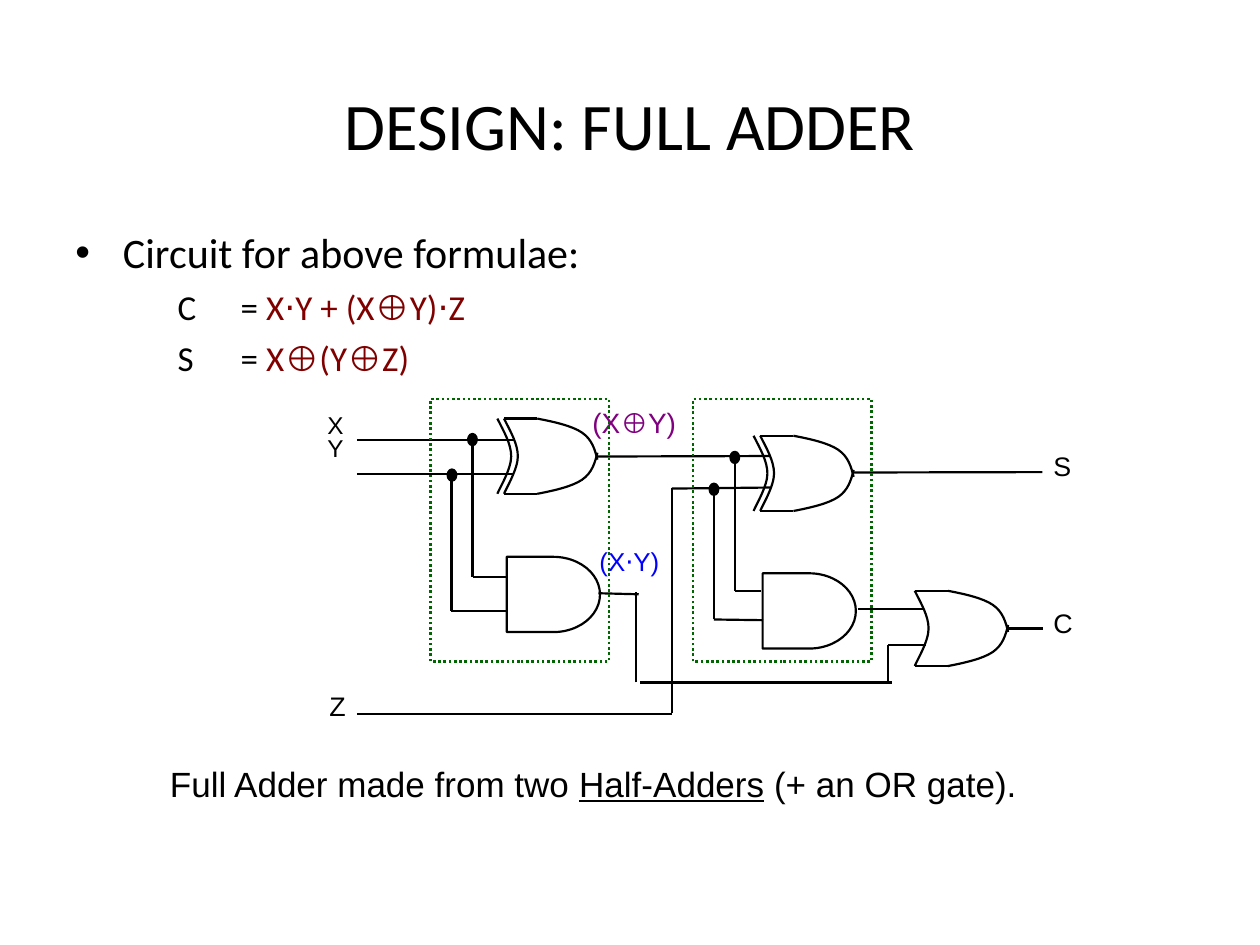
from typing import NamedTuple

from lxml.etree import SubElement
from pptx import Presentation
from pptx.dml.color import RGBColor
from pptx.enum.dml import MSO_LINE
from pptx.enum.shapes import MSO_CONNECTOR, MSO_SHAPE
from pptx.enum.text import MSO_ANCHOR, PP_ALIGN
from pptx.oxml.ns import qn
from pptx.util import Pt

BLACK, MAROON, PURPLE, BLUE, GREEN = "000000", "800000", "800080", "0000FF", "006600"
WIRE_WIDTH = 1.25


class Span(NamedTuple):
    text: str
    size: float
    color: str = BLACK
    font: str = "Arial"
    underline: bool = False


class Label(NamedTuple):
    left: float
    top: float
    width: float
    height: float
    lines: list
    spacing: float = 1.0


class Wire(NamedTuple):
    x1: float
    y1: float
    x2: float
    y2: float


class OrGate(NamedTuple):
    left: float
    top: float
    exclusive: bool


# Gate outlines in points from the gate's top-left corner, as cubic control points
GATE_HEIGHT = 43
SHOULDER = 19
BACK_CURVE = [(0, 0), (3.6, 7.2), (7.9, 14.4), (7.9, 21.6), (7.9, 28.8), (1.4, 39.6), (0, 43)]
NOSE_CURVE = [(19, 0), (29, 1.9), (39, 4.2), (44.6, 8), (50.4, 12), (52, 17.8), (53.4, 23.5)]
LOWER_NOSE = [(x, GATE_HEIGHT - y) for x, y in NOSE_CURVE]

OR_GATES = [OrGate(288, 239.2, True), OrGate(434.4, 249, True), OrGate(522.7, 337.6, False)]
AND_GATES = [(289.6, 318.2), (435.8, 327.6)]
HALF_ADDERS = [(246, 228), (396, 228)]
JUNCTIONS = [(258.3, 271.5), (270, 251.2), (408, 279.6), (419.9, 261.4)]

WIRES = [
    # X and Y into the first half adder
    Wire(204, 251.4, 294, 251.4), Wire(204, 271.1, 294, 271.1),
    Wire(270, 252, 270, 330), Wire(270, 329.7, 289.4, 329.7),
    Wire(258, 271.4, 258, 349.2), Wire(258, 349.2, 289.4, 349.2),
    # First half adder's sum into the second
    Wire(340.8, 260.9, 439.9, 260.6),
    Wire(420, 259.2, 420, 337.7), Wire(420, 337.7, 435, 337.7),
    # Z into the second half adder
    Wire(204, 408, 384, 408), Wire(384, 278.6, 384, 407.5),
    Wire(384, 279.2, 440, 278.6),
    Wire(408, 276, 408, 354), Wire(408, 354, 436, 354.4),
    # Both carries into the OR gate
    Wire(342, 339, 365, 339.6), Wire(363.6, 390, 363.6, 338.4),
    Wire(366, 390, 510, 390), Wire(507.6, 390, 507.6, 368.7),
    Wire(507.6, 368.7, 529.2, 368.7), Wire(490.3, 348, 528, 348),
    # Outputs S and C
    Wire(488, 270, 595.7, 269.8), Wire(574.8, 359.2, 596.2, 359.2),
]

LABELS = [
    Label(90, 432, 522, 42, [[Span("Full Adder made from two ", 20),
                              Span("Half-Adders", 20, underline=True),
                              Span(" (+ an OR gate).", 20)]]),
    Label(331.4, 228.2, 65, 27.4, [[Span("(X⊕Y)", 16, PURPLE)]]),
    Label(335.5, 310.3, 55, 26, [[Span("(X⋅Y)", 14.8, BLUE)]], 0.9),
    Label(180, 234, 30, 43, [[Span("X", 13.9)], [Span("Y", 13.9)]], 0.8),
    Label(181.2, 392.4, 30, 27.4, [[Span("Z", 15.3)]], 0.9),
    Label(594.9, 255.6, 30, 27.4, [[Span("S", 15.3)]], 0.9),
    Label(594.9, 345.4, 30, 27.4, [[Span("C", 15.3)]], 0.9),
]


def rgb(color: str) -> RGBColor:
    return RGBColor.from_string(color)


def add_span(paragraph, span: Span) -> None:
    run = paragraph.add_run()
    run.text = span.text
    formats = {"name": span.font, "size": Pt(span.size), "underline": span.underline}
    for attribute, value in formats.items():
        setattr(run.font, attribute, value)
    run.font.color.rgb = rgb(span.color)


def add_label(shapes, label: Label):
    box = shapes.add_textbox(*map(Pt, label[:4]))
    frame = box.text_frame
    frame.word_wrap = True
    for index, spans in enumerate(label.lines):
        paragraph = frame.add_paragraph() if index else frame.paragraphs[0]
        paragraph.line_spacing = label.spacing
        for span in spans:
            add_span(paragraph, span)
    return frame


def formula(name: str, expression: str) -> list:
    """Split an expression so that its operators are set in Arial."""
    spans = [Span(f"{name}\t= ", 20, font="Calibri")]
    for operator in "⋅⊕":
        expression = expression.replace(operator, f"|{operator}|")
    for piece in expression.split("|"):
        spans.append(Span(piece, 20, MAROON, "Arial" if piece in "⋅⊕" else "Calibri"))
    return spans


def set_indent(paragraph, margin: float, indent: float):
    properties = paragraph._p.get_or_add_pPr()
    properties.set("marL", str(Pt(margin)))
    properties.set("indent", str(Pt(indent)))
    return properties


def add_formulae(shapes) -> None:
    heading = [Span("Circuit for above formulae:", 24, font="Calibri")]
    frame = add_label(shapes, Label(36, 126, 642, 348, [
        heading, formula("C", "X⋅Y + (X⊕Y)⋅Z"), formula("S", "X⊕(Y⊕Z)")]))
    first, *equations = frame.paragraphs
    properties = set_indent(first, 27.2, -27.2)
    SubElement(properties, qn("a:buFont"), typeface="Arial")
    SubElement(properties, qn("a:buChar"), char="•")
    for equation in equations:
        equation.space_before = Pt(5)
        properties = set_indent(equation, 58.5, 0)
        stops = SubElement(properties, qn("a:tabLst"))
        SubElement(stops, qn("a:tab"), pos=str(Pt(130.5)), algn="l")


def add_wire(shapes, wire: Wire) -> None:
    line = shapes.add_connector(MSO_CONNECTOR.STRAIGHT, *map(Pt, wire))
    line.line.color.rgb = rgb(BLACK)
    line.line.width = Pt(WIRE_WIDTH)
    SubElement(line._element.spPr, qn("a:effectLst"))


def style_outline(shape, color: str = BLACK, width: float = WIRE_WIDTH) -> None:
    shape.shadow.inherit = False
    shape.fill.background()
    shape.line.color.rgb = rgb(color)
    shape.line.width = Pt(width)


def add_curve(shapes, left: float, top: float, controls: list) -> None:
    """Build the control polygon, then join each three segments into one cubic."""
    start, *rest = [(Pt(left + x), Pt(top + y)) for x, y in controls]
    builder = shapes.build_freeform(*start)
    builder.add_line_segments(rest, close=False)
    curve = builder.convert_to_shape()
    outline = next(curve._element.iter(qn("a:path")))
    segments = outline.findall(qn("a:lnTo"))
    for first in range(0, len(segments), 3):
        cubic = SubElement(outline, qn("a:cubicBezTo"))
        for segment in segments[first:first + 3]:
            cubic.append(segment[0])
            outline.remove(segment)
    style_outline(curve)


def add_or_gate(shapes, gate: OrGate) -> None:
    for controls in (BACK_CURVE, NOSE_CURVE, LOWER_NOSE):
        add_curve(shapes, gate.left, gate.top, controls)
    for y in (gate.top, gate.top + GATE_HEIGHT):
        add_wire(shapes, Wire(gate.left, y, gate.left + SHOULDER, y))
    if gate.exclusive:
        add_curve(shapes, gate.left - 3.8, gate.top, BACK_CURVE)


def add_preset(shapes, preset, left: float, top: float, width: float, height: float):
    shape = shapes.add_shape(preset, Pt(left), Pt(top), Pt(width), Pt(height))
    style_outline(shape)
    return shape


def main() -> None:
    deck = Presentation()
    deck.slide_width, deck.slide_height = Pt(720), Pt(540)
    slide = deck.slides.add_slide(deck.slide_layouts[5])
    shapes = slide.shapes

    # Title
    title = shapes.title
    place = {"left": 36, "top": 21.6, "width": 648, "height": 98}
    for attribute, value in place.items():
        setattr(title, attribute, Pt(value))
    title.text_frame.vertical_anchor = MSO_ANCHOR.MIDDLE
    heading = title.text_frame.paragraphs[0]
    heading.alignment = PP_ALIGN.CENTER
    add_span(heading, Span("DESIGN: FULL ADDER", 38, font="Calibri"))

    # Formulae and labels
    add_formulae(shapes)
    for label in LABELS:
        add_label(shapes, label)

    # Circuit
    for wire in WIRES:
        add_wire(shapes, wire)
    for left, top in AND_GATES:
        add_preset(shapes, MSO_SHAPE.FLOWCHART_DELAY, left, top, 53.3, GATE_HEIGHT)
    for gate in OR_GATES:
        add_or_gate(shapes, gate)
    for x, y in JUNCTIONS:
        dot = add_preset(shapes, MSO_SHAPE.OVAL, x - 2.5, y - 3.2, 5, 6.4)
        dot.fill.solid()
        dot.fill.fore_color.rgb = rgb(BLACK)

    # Dotted frames around the half adders
    for left, top in HALF_ADDERS:
        frame = add_preset(shapes, MSO_SHAPE.RECTANGLE, left, top, 102, 150)
        style_outline(frame, GREEN, 1.5)
        frame.line.dash_style = MSO_LINE.ROUND_DOT

    deck.save("out.pptx")


if __name__ == "__main__":
    main()
